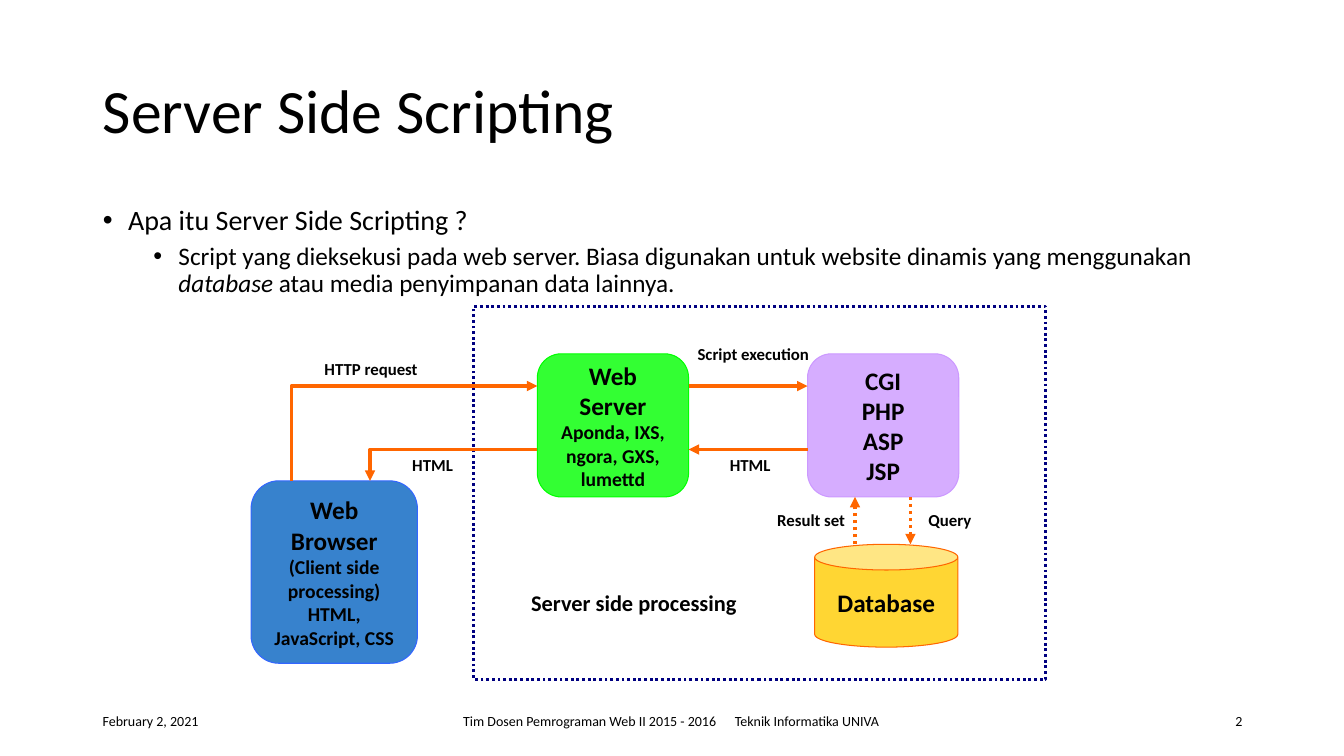
from lxml import etree
from pptx import Presentation
from pptx.dml.color import RGBColor
from pptx.enum.dml import MSO_LINE
from pptx.enum.shapes import MSO_CONNECTOR, MSO_SHAPE
from pptx.enum.text import MSO_ANCHOR, MSO_AUTO_SIZE, PP_ALIGN
from pptx.oxml.ns import qn
from pptx.util import Inches, Pt

LEFT, CENTER, RIGHT = PP_ALIGN.LEFT, PP_ALIGN.CENTER, PP_ALIGN.RIGHT
MIDDLE, TOP = MSO_ANCHOR.MIDDLE, MSO_ANCHOR.TOP
NO_FIT = MSO_AUTO_SIZE.NONE
DOTS = MSO_LINE.ROUND_DOT
STRAIGHT = MSO_CONNECTOR.STRAIGHT
RECTANGLE, ROUNDED, CAN = MSO_SHAPE.RECTANGLE, MSO_SHAPE.ROUNDED_RECTANGLE, MSO_SHAPE.CAN
FONT, BLACK, ORANGE, NAVY = "Calibri", "000000", "FF6600", "000080"


def color(hex_string):
    """Return the colour of a hex string."""
    return RGBColor.from_string(hex_string)


def format_paragraph(para, size, bold=False, align=LEFT):
    """Set the alignment of a paragraph and the font of its spans."""
    para.alignment = align
    for span in para.runs:
        span.font.name = FONT
        span.font.size = Pt(size)
        span.font.bold = bold
        span.font.color.rgb = color(BLACK)


def format_line(line, hex_string, width, dotted=False):
    """Set the colour, width and dash of a line."""
    line.color.rgb = color(hex_string)
    line.width = Pt(width)
    if dotted:
        line.dash_style = DOTS


def place(shape, box):
    """Move a shape to a box given in inches."""
    shape.left, shape.top, shape.width, shape.height = map(Inches, box)


def add_text(page, box, text, size, bold=False, align=LEFT, anchor=TOP, wrap=False):
    """Add a text box with one paragraph."""
    frame = page.shapes.add_textbox(*map(Inches, box)).text_frame
    frame.word_wrap = wrap
    frame.vertical_anchor = anchor
    frame.text = text
    format_paragraph(frame.paragraphs[0], size, bold, align)


def add_title(page, box, text):
    """Fill and place the title."""
    title = page.shapes.title
    place(title, box)
    frame = title.text_frame
    frame.text = text
    frame.vertical_anchor = MIDDLE
    frame.auto_size = NO_FIT
    frame.paragraphs[0].line_spacing = 0.9
    format_paragraph(frame.paragraphs[0], 44)


def add_bullets(page, box, items):
    """Fill the body with items of level, size, space before and spans."""
    body = page.placeholders[1]
    place(body, box)
    frame = body.text_frame
    frame.auto_size = NO_FIT
    for index, (level, size, space, spans) in enumerate(items):
        para = frame.add_paragraph() if index else frame.paragraphs[0]
        para.level = level
        para.line_spacing = 0.9
        para.space_before = Pt(space)
        for text, italic in spans:
            span = para.add_run()
            span.text = text
            span.font.italic = italic
        format_paragraph(para, size)
        properties = para._p.get_or_add_pPr()
        properties.set("marL", str(Inches(0.25 + 0.5 * level)))
        properties.set("indent", str(Inches(-0.25)))
        etree.SubElement(properties, qn("a:buFont")).set("typeface", "Arial")
        etree.SubElement(properties, qn("a:buChar")).set("char", "•")


def add_node(page, kind, box, fill, line, lines, wrap=True):
    """Add a translucent node with centred lines of text and size."""
    node = page.shapes.add_shape(kind, *map(Inches, box))
    node.shadow.inherit = False
    node.fill.solid()
    node.fill.fore_color.rgb = color(fill)
    tint = node.fill._xPr.find(qn("a:solidFill"))[0]
    etree.SubElement(tint, qn("a:alpha")).set("val", "80000")
    format_line(node.line, line, 0.75)
    frame = node.text_frame
    frame.word_wrap = wrap
    frame.vertical_anchor = MIDDLE
    frame.text = "\n".join(text for text, size in lines)
    for para, (text, size) in zip(frame.paragraphs, lines):
        format_paragraph(para, size, True, CENTER)


def add_arrow(page, points, dotted=False):
    """Add an arrow through the points, straight or with corners."""
    corners = [(Inches(x), Inches(y)) for x, y in points]
    if len(corners) == 2:
        arrow = page.shapes.add_connector(STRAIGHT, *corners[0], *corners[1])
        etree.SubElement(arrow._element.spPr, qn("a:effectLst"))
    else:
        builder = page.shapes.build_freeform(*corners[0])
        builder.add_line_segments(corners[1:], close=False)
        arrow = builder.convert_to_shape()
        arrow.shadow.inherit = False
        arrow.fill.background()
    format_line(arrow.line, ORANGE, 2.5, dotted)
    etree.SubElement(arrow.line._get_or_add_ln(), qn("a:tailEnd")).set("type", "triangle")


def add_diagram(page, left, top):
    """Draw the request flow from its top left corner."""
    def at(x, y, *size):
        return (left + x, top + y, *size)

    zone = page.shapes.add_shape(RECTANGLE, *map(Inches, at(2.21, 0, 5.67, 3.7)))
    zone.shadow.inherit = False
    zone.fill.background()
    format_line(zone.line, NAVY, 2, True)

    browser_top, server_left, server_right, scripts_left = 1.73, 2.84, 4.34, 5.52
    node_top, node_bottom, database_top = 0.47, 1.89, 2.36
    request_y, reply_y = 0.79, 1.42
    node_size = (server_right - server_left, node_bottom - node_top)

    add_node(page, ROUNDED, at(0, browser_top, 1.65, 1.81), "0563C1", "3366FF",
             [("Web Browser", 18), ("(Client side processing)", 14),
              ("HTML, JavaScript, CSS", 14)])
    add_node(page, ROUNDED, at(server_left, node_top, *node_size), "00FF00", "00FF00",
             [("Web Server", 18), ("Aponda, IXS, ngora, GXS, lumettd", 14)])
    add_node(page, ROUNDED, at(scripts_left, node_top, *node_size), "CC99FF", "CC99FF",
             [(name, 18) for name in ("CGI", "PHP", "ASP", "JSP")])
    add_node(page, CAN, at(5.59, database_top, 1.42, 1.02), "FFCC00", ORANGE,
             [("Database", 18)], wrap=False)

    for dotted, points in (
        (False, [(0.4, browser_top), (0.4, request_y), (server_left, request_y)]),
        (False, [(server_right, request_y), (scripts_left, request_y)]),
        (True, [(6.54, node_bottom), (6.54, database_top)]),
        (True, [(5.99, database_top), (5.99, node_bottom)]),
        (False, [(scripts_left, reply_y), (server_right, reply_y)]),
        (False, [(server_left, reply_y), (1.18, reply_y), (1.18, browser_top)]),
    ):
        add_arrow(page, [at(x, y) for x, y in points], dotted)

    for text, x, y, width in (
        ("HTTP request", 0.63, node_top, 1.13),
        ("Script execution", 4.33, 0.32, 1.32),
        ("Query", 6.62, 1.97, 0.63),
        ("Result set", 5.12, 1.97, 0.88),
        ("HTML", 4.65, reply_y, 0.61),
        ("HTML", 1.5, reply_y, 0.61),
    ):
        add_text(page, at(x, y, width, 0.3), text, 12, True)
    add_text(page, at(2.68, 2.76, 2.25, 0.37), "Server side processing", 16, True)


def add_footer(page, top, height):
    """Add the date, the course, the department and the page number."""
    for text, left, width, align in (
        ("February 2, 2021", 0.92, 3, LEFT),
        ("Tim Dosen Pemrograman Web II 2015 - 2016", 4.2, 3, RIGHT),
        ("Teknik Informatika UNIVA", 7.19, 2, LEFT),
        ("2", 9.42, 3, RIGHT),
    ):
        add_text(page, (left, top, width, height), text, 10,
                 align=align, anchor=MIDDLE, wrap=True)


def main():
    """Build and save the deck."""
    deck = Presentation()
    deck.slide_width, deck.slide_height = Inches(13.33), Inches(7.5)
    page = deck.slides.add_slide(deck.slide_layouts[1])
    add_title(page, (0.92, 0.4, 11.5, 1.45), "Server Side Scripting")
    add_bullets(page, (0.92, 2, 11.5, 4.76), [
        (0, 20, 10, [("Apa itu Server Side Scripting ?", False)]),
        (1, 18, 5, [
            ("Script yang dieksekusi pada web server. Biasa digunakan untuk "
             "website dinamis yang menggunakan ", False),
            ("database", True),
            (" atau media penyimpanan data lainnya.", False),
        ]),
    ])
    add_diagram(page, 2.49, 3.04)
    add_footer(page, 6.95, 0.4)
    deck.save("out.pptx")


if __name__ == "__main__":
    main()
